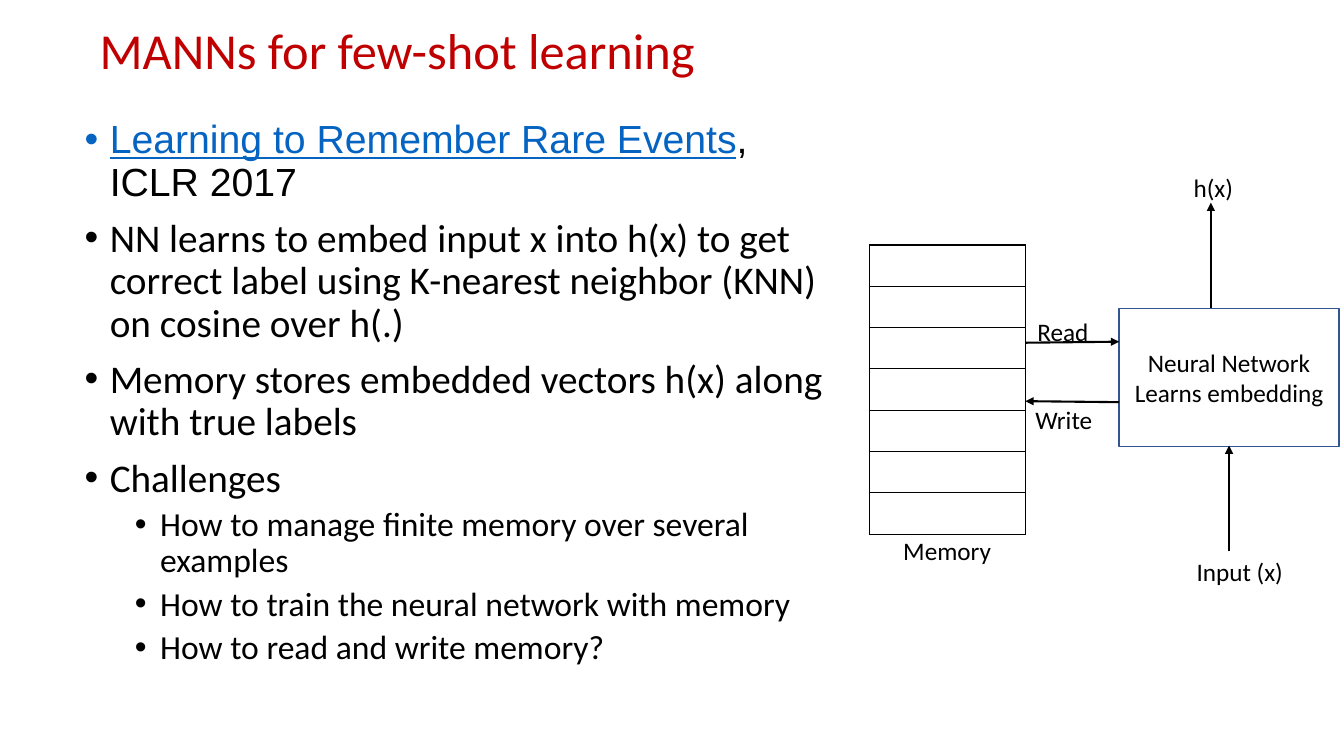
import pptx
import pptx.util
import pptx.dml.color
import pptx.enum.shapes
import pptx.enum.text
import pptx.oxml
import pptx.oxml.ns
import lxml.etree

Inches, Pt = pptx.util.Inches, pptx.util.Pt
Align, Anchor = pptx.enum.text.PP_ALIGN, pptx.enum.text.MSO_ANCHOR
Fit = pptx.enum.text.MSO_AUTO_SIZE
BLACK, RED, BLUE, NAVY = "000000", "C00000", "0563C1", "325491"

TITLE = ("MANNs for few-shot learning", (0.89, 0, 11.5, 1.06))
BODY = (0.74, 1.14, 7.68, 5.62)
POINTS = [
    (0, [("Learning to Remember Rare Events", "Arial", BLUE, True),
         (", ICLR 2017", "Arial", BLACK, False)]),
    (0, "NN learns to embed input x into h(x) to get correct label using K-nearest neighbor (KNN) on cosine over h(.)"),
    (0, "Memory stores embedded vectors h(x) along with true labels"),
    (0, "Challenges"),
    (1, "How to manage finite memory over several examples"),
    (1, "How to train the neural network with memory"),
    (1, "How to read and write memory?"),
]
LEVELS = [dict(size=28, left=0.25, gap=10), dict(size=24, left=0.75, gap=5)]
GRID = dict(left=8.62, top=2.43, width=1.55, row=0.41, count=7)
NET = (["Neural Network", "Learns embedding"], (11.1, 3.06, 2.18, 1.37))
LABELS = [
    ("Memory", 8.86, 5.26, 1.08),
    ("Read", 10.19, 3.09, 0.71),
    ("Write", 10.17, 3.96, 0.77),
    ("Input (x)", 11.77, 5.47, 1.07),
    ("h(x)", 11.74, 1.66, 0.6),
]
ARROWS = [
    (10.17, 3.4, 11.1, 3.39),
    (11.1, 3.99, 10.17, 3.98),
    (12.19, 5.47, 12.19, 4.42),
    (12.01, 3.06, 12.01, 2.01),
]


def color(code):
    return pptx.dml.color.RGBColor.from_string(code)


def apply(target, **values):
    for name, value in values.items():
        setattr(target, name, value)


def inch(box):
    return [Inches(n) for n in box]


def write(para, text, size, font="Calibri", ink=BLACK, under=False):
    run = para.add_run()
    run.text = text
    apply(run.font, name=font, size=Pt(size), underline=under)
    run.font.color.rgb = color(ink)


def add_box(slide, box, **values):
    frame = slide.shapes.add_textbox(*inch(box)).text_frame
    apply(frame, **{"word_wrap": True, **values})
    return frame


def add_points(slide):
    frame = add_box(slide, BODY)
    for i, (level, parts) in enumerate(POINTS):
        para = frame.add_paragraph() if i else frame.paragraphs[0]
        look = LEVELS[level]
        apply(para, level=level, line_spacing=0.9, space_before=Pt(look["gap"]))
        props = para._p.get_or_add_pPr()
        props.set("marL", str(Inches(look["left"])))
        props.set("indent", str(Inches(-0.25)))
        tag = pptx.oxml.ns.qn
        lxml.etree.SubElement(props, tag("a:buFont")).set("typeface", "Arial")
        lxml.etree.SubElement(props, tag("a:buChar")).set("char", "•")
        if isinstance(parts, str):
            parts = [(parts,)]
        for text, *style in parts:
            write(para, text, look["size"], *style)


def add_memory(slide):
    rows, row = GRID["count"], GRID["row"]
    box = (GRID["left"], GRID["top"], GRID["width"], row * rows)
    table = slide.shapes.add_table(rows, 1, *inch(box)).table
    apply(table, first_row=False, horz_banding=False)
    for i in range(rows):
        table.rows[i].height = Inches(row)
        cell = table.cell(i, 0)
        cell.fill.background()
        props = cell._tc.get_or_add_tcPr()
        for n, side in enumerate(("lnL", "lnR", "lnT", "lnB")):
            props.insert(n, pptx.oxml.parse_xml(
                f'<a:{side} {pptx.oxml.ns.nsdecls("a")} w="{Pt(1)}"><a:solidFill>'
                f'<a:srgbClr val="{BLACK}"/></a:solidFill></a:{side}>'))


def add_net(slide):
    lines, box = NET
    kind = pptx.enum.shapes.MSO_SHAPE.RECTANGLE
    shape = slide.shapes.add_shape(kind, *inch(box))
    shape.shadow.inherit = False
    shape.fill.background()
    shape.line.color.rgb = color(NAVY)
    shape.line.width = Pt(1)
    frame = shape.text_frame
    apply(frame, word_wrap=True, vertical_anchor=Anchor.MIDDLE)
    for i, text in enumerate(lines):
        para = frame.add_paragraph() if i else frame.paragraphs[0]
        para.alignment = Align.CENTER
        write(para, text, 18)


def add_arrow(slide, ends):
    kind = pptx.enum.shapes.MSO_CONNECTOR.STRAIGHT
    link = slide.shapes.add_connector(kind, *inch(ends))
    link.line.color.rgb = color(BLACK)
    link.line.width = Pt(1.5)
    tag = pptx.oxml.ns.qn
    head = lxml.etree.SubElement(link.line._get_or_add_ln(), tag("a:tailEnd"))
    head.set("type", "triangle")
    lxml.etree.SubElement(link._element.spPr, tag("a:effectLst"))


def main():
    deck = pptx.Presentation()
    apply(deck, slide_width=Inches(13.33), slide_height=Inches(7.5))
    slide = deck.slides.add_slide(deck.slide_layouts[6])
    text, box = TITLE
    para = add_box(slide, box, vertical_anchor=Anchor.MIDDLE).paragraphs[0]
    para.line_spacing = 0.9
    write(para, text, 36, ink=RED)
    add_points(slide)
    add_memory(slide)
    add_net(slide)
    for ends in ARROWS:
        add_arrow(slide, ends)
    for text, left, top, width in LABELS:
        frame = add_box(slide, (left, top, width, 0.4), word_wrap=False,
                        auto_size=Fit.SHAPE_TO_FIT_TEXT)
        write(frame.paragraphs[0], text, 18)
    deck.save("out.pptx")


if __name__ == "__main__":
    main()
